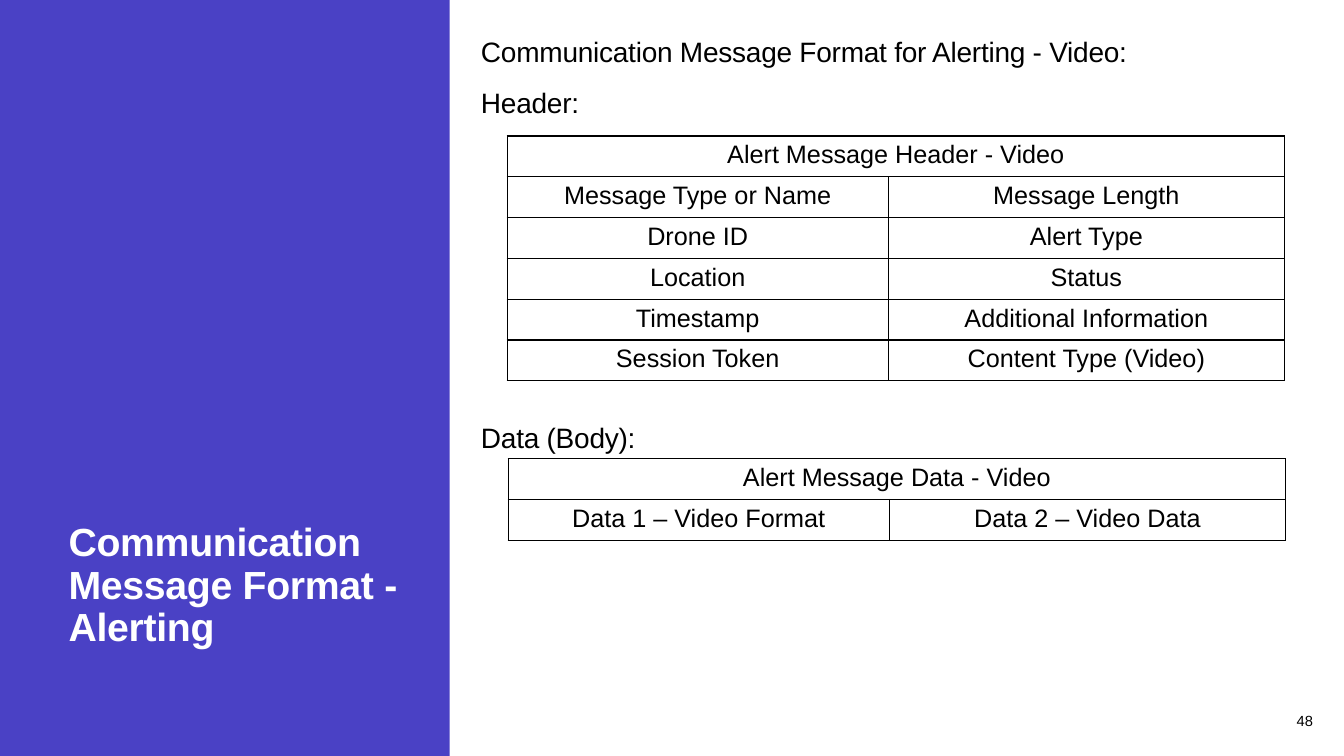
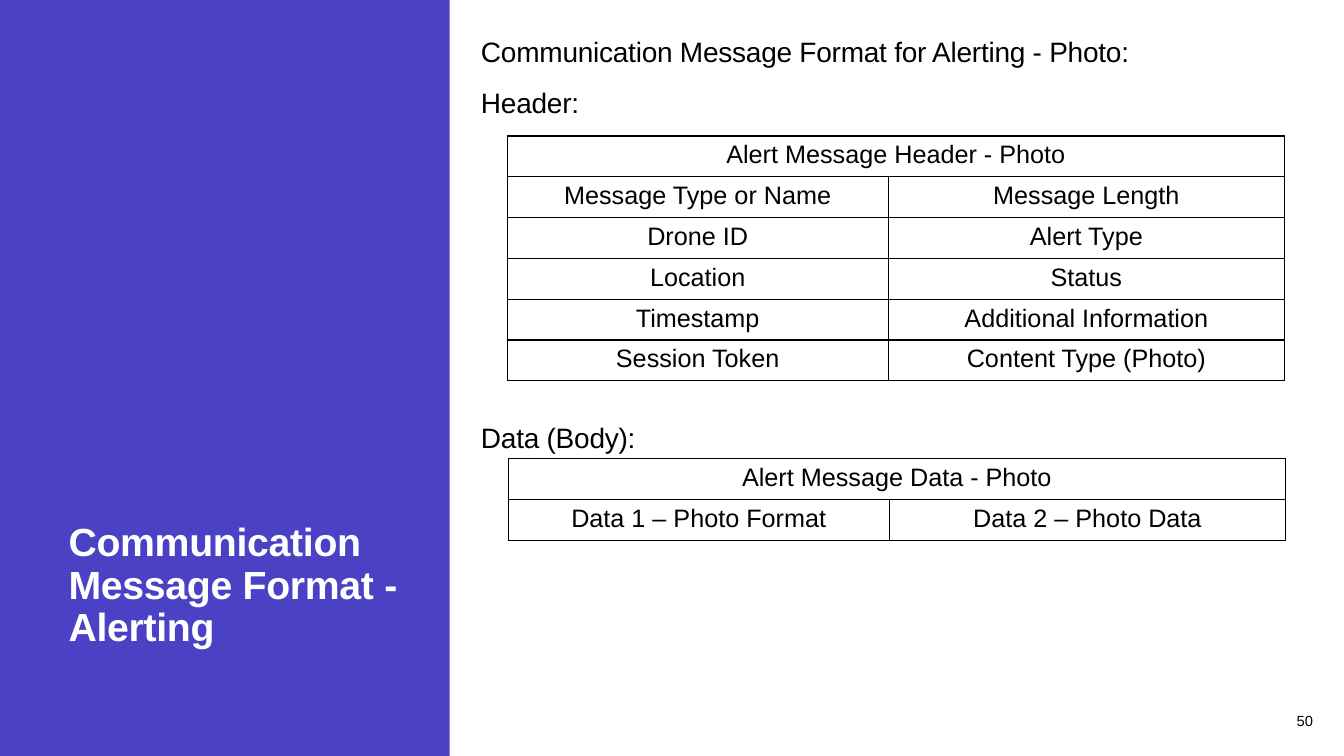
"""Build the two slides on alert message formats, one per kind of media."""
from lxml import etree
from pptx import Presentation, util as u
from pptx.dml.color import RGBColor
from pptx.enum import shapes, text
from pptx.oxml.ns import qn

TITLE = "Communication Message Format - Alerting"
MEDIA = [("Video", "48"), ("Photo", "50")]
HEADINGS = [
    ("Communication Message Format for Alerting - {}:", 10),
    ("Header:", 10),
    ("Data (Body):", 213),
]
HEADER_ROWS = [
    ("Alert Message Header - {}",),
    ("Message Type or Name", "Message Length"),
    ("Drone ID", "Alert Type"),
    ("Location", "Status"),
    ("Timestamp", "Additional Information"),
    ("Session Token", "Content Type ({})"),
]
DATA_ROWS = [
    ("Alert Message Data - {}",),
    ("Data 1 – {} Format", "Data 2 – {} Data"),
]
TABLES = [(HEADER_ROWS, 5.03, 1.35), (DATA_ROWS, 5.04, 4.55)]

THEME = {
    "font": "Arial", "band": RGBColor(0x4A, 0x41, 0xC5),
    "light": RGBColor(255, 255, 255), "ink": RGBColor(0, 0, 0),
    "title": 28, "body": 20, "cell": 18, "number": 10.5, "tracking": "-20",
}
WIDTH, HEIGHT = 13.33, 7.5
BAND = (0, 0, 4.46, HEIGHT)
PLACES = [(0.58, 0.85, 3.51, 5.65), (4.67, 0.26, 8.45, 6.84)]
NUMBER = (12.43, 6.95, 0.69, 0.4)
COLUMNS = (3.78, 3.93)
ROW_PAIR = 0.81


def inches(box):
    return [u.Inches(length) for length in box]


def assign(target, values):
    for key, value in values.items():
        setattr(target, key, value)


def write(paragraph, words, size, colour, bold=False, tracking=None, **layout):
    run = paragraph.add_run()
    run.text = words
    assign(run.font, {"name": THEME["font"], "size": u.Pt(THEME[size]), "bold": bold})
    run.font.color.rgb = THEME[colour]
    if tracking:
        run.font._element.set("spc", tracking)
    assign(paragraph, layout)


def prepare_layout(deck):
    layout = deck.slide_layouts[1]
    for placeholder, place in zip(layout.placeholders, PLACES):
        assign(placeholder, dict(zip(("left", "top", "width", "height"), inches(place))))
    return layout


def share_band(slide, layout):
    band = slide.shapes.add_shape(shapes.MSO_SHAPE.RECTANGLE, *inches(BAND))
    band.shadow.inherit = False
    band.fill.solid()
    band.fill.fore_color.rgb = THEME["band"]
    band.line.fill.background()
    layout.shapes._spTree.insert(2, band._element)


def add_headings(slide, medium):
    title, body = (placeholder.text_frame for placeholder in slide.placeholders)
    fixed = {"auto_size": text.MSO_AUTO_SIZE.NONE, "word_wrap": True}
    assign(title, {**fixed, "vertical_anchor": text.MSO_ANCHOR.BOTTOM})
    assign(body, {**fixed, "vertical_anchor": text.MSO_ANCHOR.TOP})
    write(title.paragraphs[0], TITLE, "title", "light", True, THEME["tracking"],
          alignment=text.PP_ALIGN.LEFT, line_spacing=0.9)
    for index, (heading, gap) in enumerate(HEADINGS):
        paragraph = body.add_paragraph() if index else body.paragraphs[0]
        write(paragraph, heading.format(medium), "body", "ink", tracking=THEME["tracking"],
              line_spacing=1.1, space_before=u.Pt(gap))
        properties = paragraph._p.get_or_add_pPr()
        properties.set("marL", "0")
        properties.set("indent", "0")
        etree.SubElement(properties, qn("a:buNone"))


def add_borders(cell):
    properties = cell._tc.get_or_add_tcPr()
    for index, side in enumerate(("a:lnL", "a:lnR", "a:lnT", "a:lnB")):
        border = etree.Element(qn(side), w=str(u.Pt(1)))
        fill = etree.SubElement(border, qn("a:solidFill"))
        etree.SubElement(fill, qn("a:srgbClr"), val=str(THEME["ink"]))
        properties.insert(index, border)


def add_fields(slide, medium, rows, left, top):
    box = inches((left, top, sum(COLUMNS), len(rows) * ROW_PAIR / 2))
    grid = slide.shapes.add_table(len(rows), len(COLUMNS), *box).table
    assign(grid, {"first_row": False, "horz_banding": False})
    for column, width in zip(grid.columns, COLUMNS):
        column.width = u.Inches(width)
    grid.cell(0, 0).merge(grid.cell(0, len(COLUMNS) - 1))
    for cell in grid.iter_cells():
        cell.fill.background()
        add_borders(cell)
    for r, fields in enumerate(rows):
        for c, field in enumerate(fields):
            write(grid.cell(r, c).text_frame.paragraphs[0], field.format(medium),
                  "cell", "ink", alignment=text.PP_ALIGN.CENTER)


def add_number(slide, number):
    frame = slide.shapes.add_textbox(*inches(NUMBER)).text_frame
    assign(frame, {"word_wrap": True, "vertical_anchor": text.MSO_ANCHOR.MIDDLE})
    write(frame.paragraphs[0], number, "number", "ink", alignment=text.PP_ALIGN.RIGHT)


def build():
    deck = Presentation()
    assign(deck, {"slide_width": u.Inches(WIDTH), "slide_height": u.Inches(HEIGHT)})
    layout = prepare_layout(deck)
    for index, (medium, number) in enumerate(MEDIA):
        slide = deck.slides.add_slide(layout)
        if index == 0:
            share_band(slide, layout)
        add_headings(slide, medium)
        add_number(slide, number)
        for rows, left, top in TABLES:
            add_fields(slide, medium, rows, left, top)
    deck.save("out.pptx")


build()
